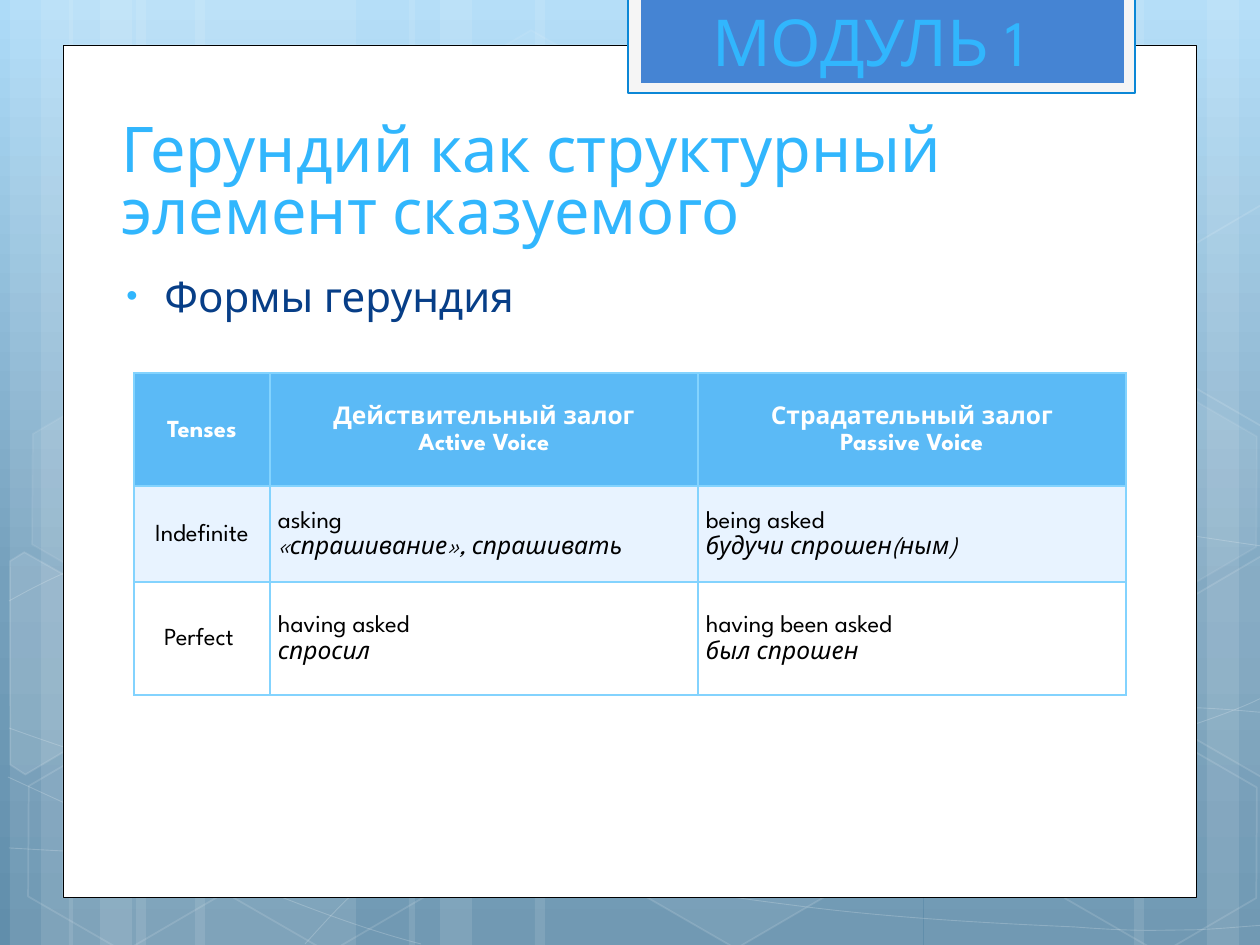
from copy import deepcopy

from pptx import Presentation
from pptx.dml.color import RGBColor
from pptx.enum.shapes import MSO_SHAPE
from pptx.enum.text import MSO_ANCHOR, MSO_AUTO_SIZE, PP_ALIGN
from pptx.oxml import parse_xml
from pptx.oxml.ns import nsdecls, qn
from pptx.util import Pt

SCALE = 914400 / 126
FONT = "League Spartan"
RECT, HEX = MSO_SHAPE.RECTANGLE, MSO_SHAPE.HEXAGON
LEFT, MID = PP_ALIGN.LEFT, PP_ALIGN.CENTER
TOP, CENTER, BOTTOM = MSO_ANCHOR.TOP, MSO_ANCHOR.MIDDLE, MSO_ANCHOR.BOTTOM
WHITE, SKY, NAVY = "FFFFFF", "31B6FD", "073E87"

# Left edge and width of each pale stripe
STRIPES = [(x + dx, w) for x, wide in ((136, 220), (195, 220), (535, 388))
           for dx, w in ((0, wide), (-126, 63), (-95, 105))]
STRIPES += [(924, 220), (1207, 63), (1134, 105)]

# Start point, then three points for each cubic segment
CURVES = [
    [(9, 848), (77, 852), (145, 856), (239, 854), (334, 853), (451, 850), (577, 838),
     (703, 825), (882, 801), (998, 777), (1113, 753), (1231, 716), (1269, 694)],
    [(9, 601), (45, 581), (82, 562), (152, 543), (224, 524), (326, 496), (437, 488),
     (549, 479), (685, 478), (824, 488), (963, 498), (1193, 537), (1269, 547)],
    [(8, 777), (160, 847), (311, 916), (421, 944)],
    [(9, 728), (48, 742), (88, 756), (161, 776), (234, 795), (344, 827), (450, 848),
     (554, 869), (687, 892), (791, 905), (896, 919), (1008, 924), (1075, 927),
     (1140, 932), (1158, 930), (1191, 930), (1223, 929), (1246, 926), (1269, 925)],
    [(305, 944), (328, 919), (350, 893), (381, 871), (411, 848), (454, 823), (489, 805),
     (524, 788), (546, 780), (592, 767), (638, 755), (722, 737), (766, 728),
     (811, 719), (818, 719), (857, 717), (896, 713), (958, 709), (1000, 708),
     (1045, 707), (1116, 708), (1116, 708), (1116, 708), (1201, 708), (1201, 708),
     (1223, 709), (1245, 711), (1256, 712), (1268, 713), (1264, 712), (1268, 713)],
]

# Left, top, fill opacity, line opacity
HEXES = [(421, 45, 4, 8), (626, 742, 6, 12), (14, 745, 0, 12), (18, 393, 7, 8),
         (219, 746, 0, 12), (949, 571, 10, 12), (1051, 747, 0, 12), (1051, 396, 7, 8)]

# Hexagons cut by the slide edge: fill opacity, corners before the turn
WEST = [(-42, 594), (-34, 579), (77, 578), (132, 675), (78, 771), (60, 770)]
EAST = [(1155, 654), (1209, 559), (1220, 560), (1325, 741), (1321, 750), (1210, 750)]
CUTS = [(10, WEST), (4, EAST), (0, [(x, y - 351) for x, y in EAST])]

COLS, ROWS = (136, 428, 428), (113, 96, 113)
FILLS = ("5BBAF6", "E8F3FF", WHITE)
CELLS = [
    ["Tenses", "Действительный залог\nActive Voice", "Страдательный залог\nPassive Voice"],
    ["Indefinite", " asking\n «спрашивание», спрашивать", " being asked\n будучи спрошен(ным)"],
    ["Perfect ", " having asked\n спросил", " having been asked\n был спрошен"],
]


def px(n):
    return round(n * SCALE)


def rgb(code):
    return RGBColor.from_string(code)


def fade(shape, where, alpha):
    """Set the opacity, in percent, of the solid fill found at where."""
    tone = shape._element.spPr.find(where).find(qn("a:srgbClr"))
    tone.append(parse_xml(f'<a:alpha {nsdecls("a")} val="{alpha * 1000}"/>'))


def paint(shape, fill=None, line=None, width=1, fa=100, la=100):
    """Style a shape; fa and la are the opacities of fill and line."""
    shape.shadow.inherit = False
    if fill and fa:
        shape.fill.solid()
        shape.fill.fore_color.rgb = rgb(fill)
        if fa < 100:
            fade(shape, qn("a:solidFill"), fa)
    else:
        shape.fill.background()
    if line:
        shape.line.color.rgb = rgb(line)
        shape.line.width = Pt(width)
        if la < 100:
            fade(shape, qn("a:ln") + "/" + qn("a:solidFill"), la)
    else:
        shape.line.fill.background()


def block(slide, kind, x, y, w, h, **look):
    shape = slide.shapes.add_shape(kind, px(x), px(y), px(w), px(h))
    paint(shape, **look)
    return shape


def outline(slide, dots, close, **look):
    pen = slide.shapes.build_freeform(*dots[0], scale=SCALE)
    pen.add_line_segments(dots[1:], close=close)
    shape = pen.convert_to_shape()
    paint(shape, **look)
    return shape


def bend(shape):
    """Join each three line segments into one cubic segment."""
    lines = list(shape._element.iter(qn("a:lnTo")))
    for i in range(0, len(lines), 3):
        cubic = parse_xml(f'<a:cubicBezTo {nsdecls("a")}/>')
        lines[i].addprevious(cubic)
        for line in lines[i:i + 3]:
            cubic.append(line[0])
            line.getparent().remove(line)


def style(para, size, color, align=LEFT, bold=False, italic=False):
    para.alignment = align
    for run in para.runs:
        font = run.font
        font.name, font.size, font.bold, font.italic = FONT, Pt(size), bold, italic
        font.color.rgb = rgb(color)


def write(shape, text, size, color, anchor):
    frame = shape.text_frame
    frame.word_wrap = True
    frame.auto_size = MSO_AUTO_SIZE.NONE
    frame.vertical_anchor = anchor
    frame.text = text
    para = frame.paragraphs[0]
    style(para, size, color)
    return para


def label(slide, x, y, w, h, *text):
    return write(slide.shapes.add_textbox(px(x), px(y), px(w), px(h)), *text)


def bullet(para, color):
    props = para._p.get_or_add_pPr()
    props.set("marL", str(px(48)))
    props.set("indent", str(px(-38)))
    for body in (f'buClr {nsdecls("a")}><a:srgbClr val="{color}"/></a:buClr>',
                 f'buSzPct {nsdecls("a")} val="76000"/>',
                 f'buFont {nsdecls("a")} typeface="Arial"/>',
                 f'buChar {nsdecls("a")} char="•"/>'):
        props.append(parse_xml("<a:" + body))


def border(cell, color):
    props = cell._tc.get_or_add_tcPr()
    for i, side in enumerate(("lnL", "lnR", "lnT", "lnB")):
        props.insert(i, parse_xml(
            f'<a:{side} {nsdecls("a")} w="12700"><a:solidFill>'
            f'<a:srgbClr val="{color}"/></a:solidFill></a:{side}>'))


def grid(slide, x, y):
    table = slide.shapes.add_table(
        len(ROWS), len(COLS), px(x), px(y), px(sum(COLS)), px(sum(ROWS))).table
    for col, w in zip(table.columns, COLS):
        col.width = px(w)
    for r, (row, h) in enumerate(zip(table.rows, ROWS)):
        row.height = px(h)
        for c, cell in enumerate(row.cells):
            cell.fill.solid()
            cell.fill.fore_color.rgb = rgb(FILLS[r])
            border(cell, "83D3FE")
            cell.vertical_anchor = CENTER
            cell.margin_left = cell.margin_right = px(2)
            cell.margin_top = cell.margin_bottom = 0
            cell.text = CELLS[r][c]
            head = r == 0
            for n, para in enumerate(cell.text_frame.paragraphs):
                para.line_spacing = 1.15
                style(para, 14, WHITE if head else "000000",
                      MID if head or c == 0 else LEFT, head, not head and n == 1)


def backdrop(slide):
    fill = slide.background.fill
    fill.gradient()
    fill.gradient_angle = 270
    stops = fill.gradient_stops[0]._gs.getparent()
    stops.append(deepcopy(stops[-1]))
    for stop, (pos, color) in zip(
            fill.gradient_stops, ((0, "ADDBF8"), (0.62, "75A0BC"), (1, "618EAB"))):
        stop.position = pos
        stop.color.rgb = rgb(color)
    for x, w in STRIPES:
        block(slide, RECT, x, 0, w, 945, fill=WHITE, fa=10)
    for dots in CURVES:
        bend(outline(slide, dots, False, line=WHITE, width=0.5, la=20))
    for x, y, fa, la in HEXES:
        cell = block(slide, HEX, x, y, 220, 192, fill=WHITE, fa=fa, line=WHITE, la=la)
        cell.adjustments[0] = 0.285
        cell.rotation = 30
    for fa, dots in CUTS:
        outline(slide, dots, True, fill=WHITE, fa=fa, line=WHITE, la=12).rotation = 30


def main():
    deck = Presentation()
    deck.slide_width, deck.slide_height = px(1260), px(945)
    slide = deck.slides.add_slide(deck.slide_layouts[5])
    backdrop(slide)
    block(slide, RECT, 63, 45, 1134, 853, fill=WHITE, line="000000", width=0.5)
    block(slide, RECT, 628, -3, 507, 96, fill="F5F5F5", line="0B87D6", width=1.25)
    block(slide, RECT, 641, -3, 483, 86, fill="4584D3")

    title = slide.shapes.title
    title.left, title.top, title.width, title.height = map(px, (109, 96, 968, 157))
    slide.shapes._spTree.append(title._element)
    write(title, "Герундий как структурный элемент сказуемого",
          36, SKY, BOTTOM).line_spacing = Pt(35)
    label(slide, 700, 0, 377, 86, "МОДУЛЬ 1", 37, SKY, BOTTOM)
    point = label(slide, 104, 264, 934, 484, "Формы герундия", 24, NAVY, TOP)
    point.space_before = Pt(5)
    bullet(point, SKY)
    grid(slide, 134, 373)
    deck.save("out.pptx")


if __name__ == "__main__":
    main()
